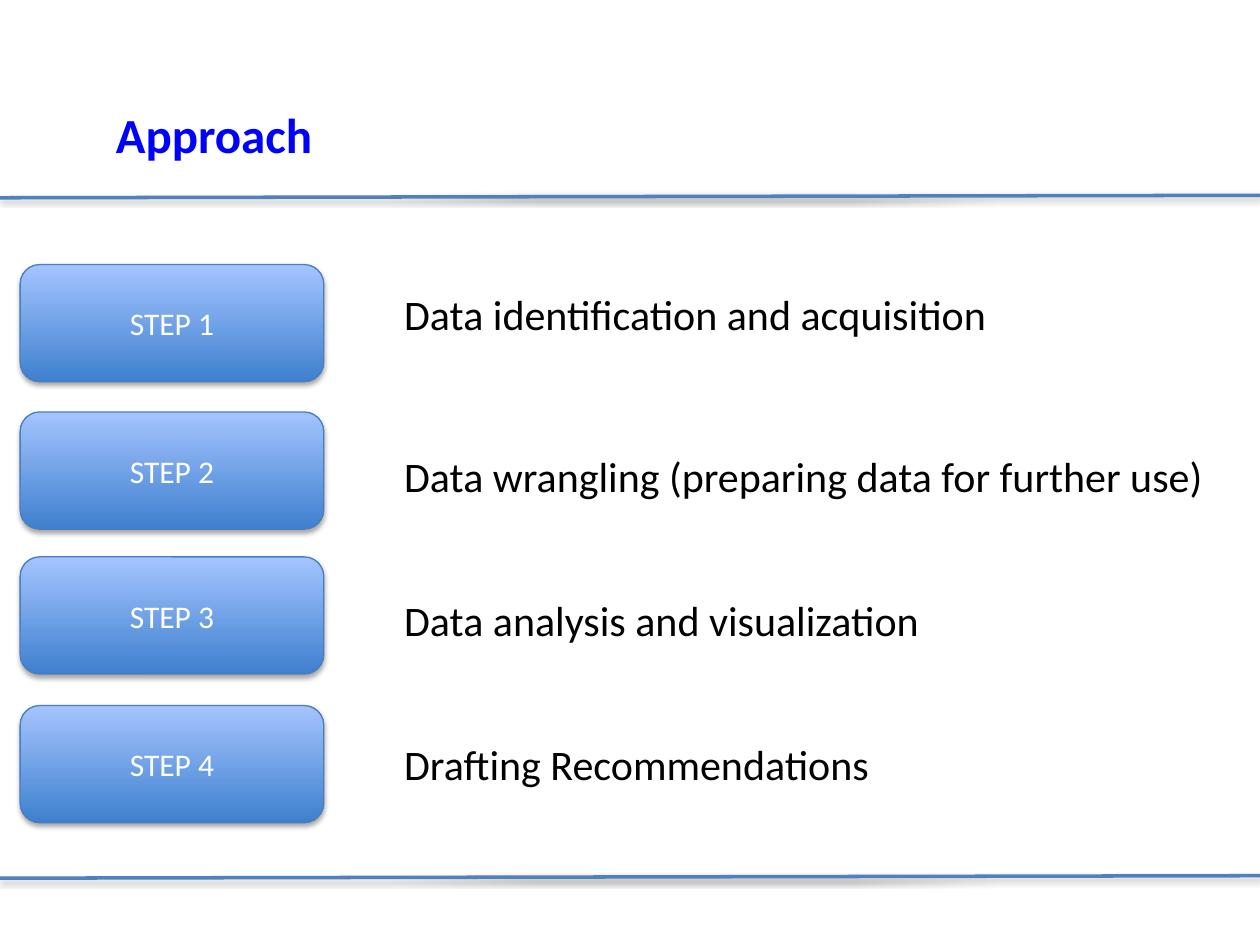
from dataclasses import dataclass

from pptx import Presentation
from pptx import oxml
from pptx import util as u
from pptx.dml import color
from pptx.enum import shapes, text
from pptx.oxml import ns


@dataclass(frozen=True)
class Theme:
    font: str = "Calibri"
    title: str = "0000FF"
    body: str = "000000"
    step: str = "FFFFFF"
    rule: str = "4F81BD"
    outline: str = "4B7EBC"
    gradient: tuple = ("3F80CE", "A4C4FF")
    title_size: int = 28
    body_size: int = 24
    step_size: int = 18


THEME = Theme()
TITLE_FONT = {"size": u.Pt(THEME.title_size), "bold": True}
BODY_FONT = {"size": u.Pt(THEME.body_size)}
STEP_FONT = {"size": u.Pt(THEME.step_size)}
STEPS = (
    (2.1, 2.24, "Data identification and acquisition"),
    (3.27, 3.53, "Data wrangling (preparing data for further use)"),
    (4.42, 4.67, "Data analysis and visualization"),
    (5.6, 5.81, "Drafting Recommendations"),
)


def rgb(value):
    return color.RGBColor.from_string(value)


def apply(target, values):
    for name, value in values.items():
        setattr(target, name, value)


def write(box, words, font, ink, align, frame_format):
    frame = box.text_frame
    apply(frame, {"word_wrap": True, **frame_format})
    para = frame.paragraphs[0]
    para.alignment = align
    span = para.add_run()
    span.text = words
    apply(span.font, {"name": THEME.font, **font})
    span.font.color.rgb = rgb(ink)


def write_left(box, words, font, ink):
    write(box, words, font, ink, text.PP_ALIGN.LEFT, {
        "auto_size": text.MSO_AUTO_SIZE.SHAPE_TO_FIT_TEXT,
        "vertical_anchor": text.MSO_ANCHOR.TOP,
    })


def outline(item, ink, width):
    item.line.color.rgb = rgb(ink)
    item.line.width = u.Pt(width)


def add_shadow(item, distance, opacity):
    item._element.spPr.append(oxml.parse_xml(
        f'<a:effectLst {ns.nsdecls("a")}>'
        f'<a:outerShdw blurRad="{u.Pt(3.1)}" dist="{u.Pt(distance)}" '
        'dir="5400000" rotWithShape="0"><a:srgbClr val="000000">'
        f'<a:alpha val="{opacity * 1000}"/></a:srgbClr></a:outerShdw>'
        '</a:effectLst>'
    ))


def add_title(page, words):
    title = page.shapes.title
    apply(title, {"left": u.Inches(0.82), "top": u.Inches(0.78),
                  "width": u.Inches(2.83), "height": u.Inches(0.57)})
    write_left(title, words, TITLE_FONT, THEME.title)


def add_rule(page, top):
    rule = page.shapes.add_connector(
        shapes.MSO_CONNECTOR.STRAIGHT,
        0, u.Inches(top + 0.02), u.Inches(10), u.Inches(top))
    outline(rule, THEME.rule, 2)
    add_shadow(rule, 1.6, 38)


def add_step(page, top, words):
    step = page.shapes.add_shape(
        shapes.MSO_SHAPE.ROUNDED_RECTANGLE,
        u.Inches(0.16), u.Inches(top), u.Inches(2.41), u.Inches(0.93))
    step.fill.gradient()
    step.fill.gradient_angle = 90
    for stop, ink in zip(step.fill.gradient_stops, THEME.gradient):
        stop.color.rgb = rgb(ink)
    outline(step, THEME.outline, 0.75)
    add_shadow(step, 1.8, 35)
    write(step, words, STEP_FONT, THEME.step, text.PP_ALIGN.CENTER,
          {"vertical_anchor": text.MSO_ANCHOR.MIDDLE})


def add_description(page, top, words):
    box = page.shapes.add_textbox(
        u.Inches(3.11), u.Inches(top), u.Inches(8.36), u.Inches(0.5))
    write_left(box, words, BODY_FONT, THEME.body)


def main():
    deck = Presentation()
    deck.slide_width, deck.slide_height = u.Inches(10), u.Inches(7.5)
    page = deck.slides.add_slide(deck.slide_layouts.get_by_name("Title Only"))
    add_title(page, "Approach")
    for top in (1.55, 6.95):
        add_rule(page, top)
    for number, (step_top, words_top, words) in enumerate(STEPS, 1):
        add_step(page, step_top, f"STEP {number}")
        add_description(page, words_top, words)
    deck.save("out.pptx")


if __name__ == "__main__":
    main()
